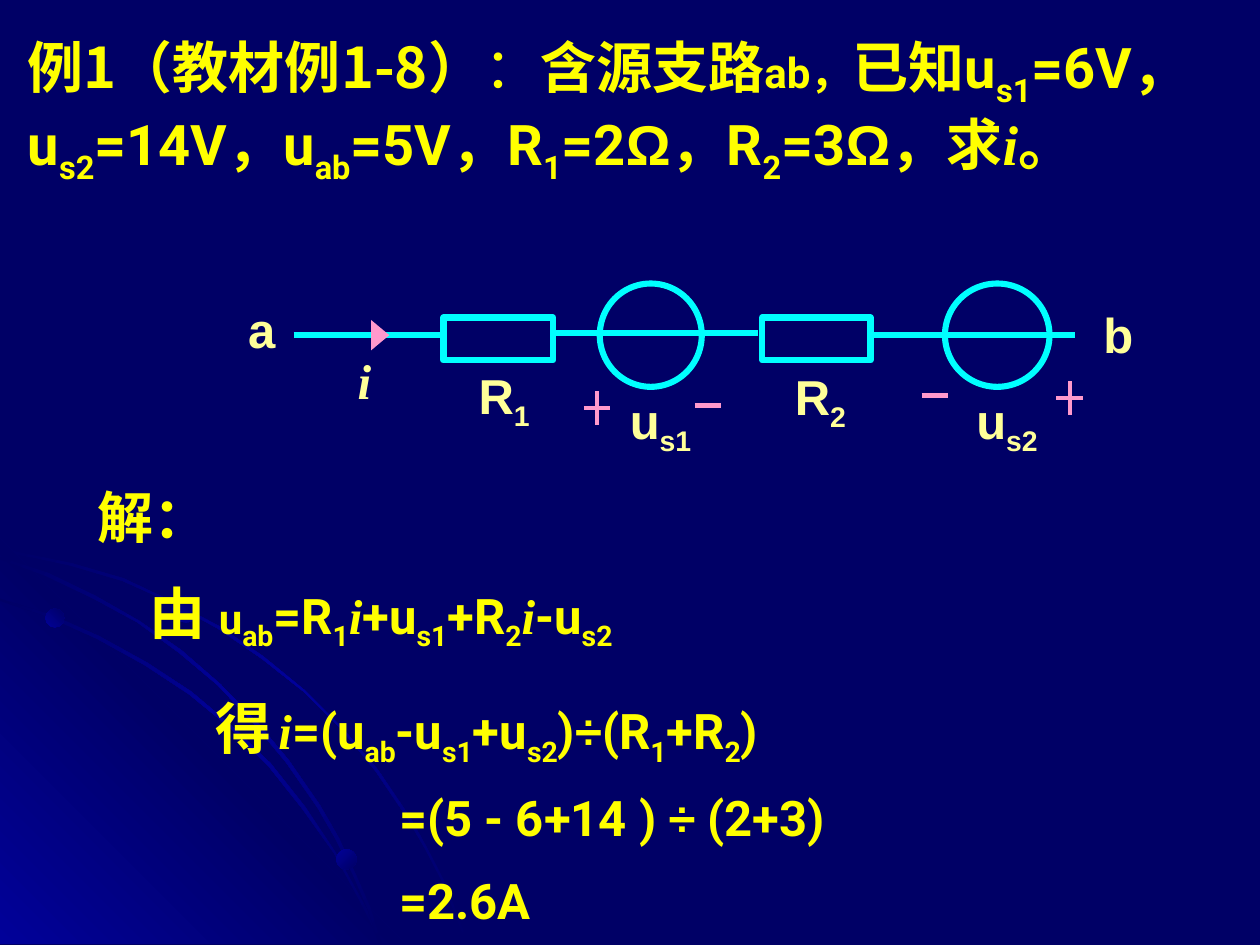
"""Builds the slide that solves an active branch for its current i."""
import copy
import itertools
from dataclasses import dataclass
from typing import NamedTuple, Optional

import pptx
import pptx.dml.color
import pptx.enum.shapes
import pptx.enum.text
import pptx.oxml.ns
import pptx.util
from lxml import etree

NAVY = pptx.dml.color.RGBColor(0x00, 0x00, 0x66)
ROYAL = pptx.dml.color.RGBColor(0x01, 0x01, 0x99)
YELLOW = pptx.dml.color.RGBColor(0xFF, 0xFF, 0x00)
CREAM = pptx.dml.color.RGBColor(0xFF, 0xFF, 0x99)
CYAN = pptx.dml.color.RGBColor(0x00, 0xFF, 0xFF)
PINK = pptx.dml.color.RGBColor(0xFF, 0x99, 0xCC)
CJK = "Noto Sans CJK SC"
COLUMNS, ROWS = 100, 75
RECT = pptx.enum.shapes.MSO_SHAPE.RECTANGLE
OVAL = pptx.enum.shapes.MSO_SHAPE.OVAL
qn = pptx.oxml.ns.qn


class Box(NamedTuple):
    left: float
    top: float
    width: float
    height: float


class Wire(NamedTuple):
    x1: float
    y1: float
    x2: float
    y2: float
    color: pptx.dml.color.RGBColor = CYAN
    weight: float = 3.5
    arrow: bool = False


@dataclass
class Phrase:
    text: str
    size: Optional[float] = None
    face: Optional[str] = None
    bold: Optional[bool] = None


@dataclass
class Line:
    phrases: list
    indent: float = 0
    tab: Optional[float] = None
    before: float = 0
    spacing: float = 1.0
    size: float = 28
    face: str = "Roboto"
    color: pptx.dml.color.RGBColor = YELLOW


STATEMENT = [Line([
    Phrase("例1（教材例1-8）", face=CJK), Phrase("：", face=CJK, bold=False),
    Phrase("含源支路", face=CJK), Phrase("ab，", 24),
    Phrase("已知u|s1|=6V，u|s2|=14V，u|ab|=5V，R|1|=2Ω，R|2|=3Ω，求i。")], size=32)]
EQUATION = [
    Line([Phrase("解：", face=CJK)], spacing=0.9, size=32),
    Line([Phrase("由 ", 32, CJK), Phrase("u", 24), Phrase("|ab|=R|1|i+u|s1|+R|2|i-u|s2|")],
         indent=4.2, before=17.5, spacing=0.9)]
ANSWER = [
    Line([Phrase("得", 32), Phrase("\ti=(u|ab|-u|s1|+u|s2|)÷(R|1|+R|2|)")], tab=8.1, spacing=0.9),
    Line([Phrase("=(5 - 6+14 ) ÷ (2+3)")], indent=14.6, before=17.5, spacing=0.9),
    Line([Phrase("=2.6A")], indent=14.6, before=17.5, spacing=0.9)]

ARCS = [
    [(5.7, 44.7), (2.8, 44.1), (0, 43.5), (0, 43.8), (2.8, 44.3), (5.6, 44.9), (9.7, 46.1),
     (13.5, 47.8), (17.3, 49.9), (20.8, 52.3), (24.1, 54.9), (27.1, 57.9), (29.8, 61.2),
     (32.3, 64.9), (33.7, 67.3), (35, 69.8), (36, 72.3), (37, 74.9), (37.2, 74.9), (36.2, 72.3),
     (35.2, 69.8), (33.9, 67.3), (32.5, 64.8), (30, 61.1), (27.2, 57.8), (24.2, 54.8),
     (20.9, 52.1), (17.4, 49.7), (13.6, 47.7), (9.8, 45.9)],
    [(28.5, 71.4), (29.4, 73.2), (30.1, 74.9), (30.3, 74.9), (29.6, 73), (28.6, 71.2),
     (26.6, 67.6), (24.2, 64), (21.5, 60.6), (18.4, 57.6), (15.2, 54.9), (11.7, 52.6),
     (7.9, 50.5), (4.1, 48.8), (0, 47.5), (0, 47.7), (3.9, 49), (7.7, 50.7), (11.5, 52.8),
     (15, 55.1), (18.3, 57.8), (21.3, 60.8), (24, 64.2), (26.5, 67.7)],
    [(0, 44.2), (0, 44.4), (3.6, 45.7), (7.4, 47.5), (10.9, 49.4), (14.2, 51.8), (17.3, 54.4),
     (20.2, 57.5), (22.7, 60.5), (25.2, 64.1), (26.7, 66.7), (28, 69.4), (29.2, 72.2),
     (30.1, 74.9), (30.3, 74.9), (29.4, 72), (28.2, 69.3), (26.9, 66.5), (25.4, 63.9),
     (22.9, 60.3), (20.4, 57.3), (17.5, 54.3), (14.4, 51.6), (11.1, 49.3), (7.6, 47.3),
     (3.9, 45.5)]]
CORNER = [(32.2, 74.9), (0, 74.9), (0, 42.7)]
BEADS = [(Box(3.6, 48.3, 1.5, 1.5), 45), (Box(26.7, 67.4, 1.6, 1.6), 315),
         (Box(13.7, 47.3, 2.1, 2.1), 45)]

RESISTORS = [Box(35.2, 25.2, 8.7, 3.4), Box(60.5, 25.2, 8.6, 3.4)]
SOURCES = [Box(47.6, 22.5, 8.1, 8.2), Box(75, 22.5, 8.3, 8.2)]
WIRES = [Wire(23.3, 26.6, 35.2, 26.6), Wire(44.1, 26.4, 60.2, 26.4), Wire(69.1, 26.6, 85.3, 26.6),
         Wire(29.8, 26.6, 30.9, 26.6, PINK, arrow=True)]
PLUSES = [(47.4, 32.4), (84.9, 31.6)]
MINUSES = [(56.2, 32.2), (74.2, 31.4)]
LABELS = [("a", Box(18.7, 23.3, 4.1, 5.7)), ("b", Box(86.6, 23.7, 4.4, 5.7)),
          ("i", Box(27.4, 27.3, 3.1, 5.7)), ("R|1|", Box(37, 28.5, 6, 6.3)),
          ("R|2|", Box(62.1, 28.6, 6, 6.3)), ("u|s1|", Box(49, 30.5, 6.9, 6.3)),
          ("u|s2|", Box(76.5, 30.5, 6.9, 6.3))]


def grid(cells: float) -> int:
    """Length of a number of grid cells, each a tenth of an inch square."""
    return pptx.util.Inches(cells / 10)


def symbol_face(char: str) -> Optional[str]:
    """Typeface that a symbol always takes."""
    return {"i": "Times New Roman", "Ω": "Arial", "÷": "Arial"}.get(char)


def add_phrase(paragraph, phrase: Phrase) -> None:
    """Write a phrase whose subscripts stand between bars."""
    for part, text in enumerate(phrase.text.split("|")):
        for face, chars in itertools.groupby(text, symbol_face):
            run = paragraph.add_run()
            run.text = "".join(chars)
            run.font.size = phrase.size and pptx.util.Pt(phrase.size)
            run.font.bold = phrase.bold
            run.font.name = face or phrase.face
            if face == "Times New Roman":
                run.font.italic = True
            if part % 2:
                run._r.get_or_add_rPr().set("baseline", "-25000")


def write(frame, lines: list, wrap: bool = True) -> None:
    """Fill a text frame with formatted lines."""
    frame.word_wrap = wrap
    frame.auto_size = pptx.enum.text.MSO_AUTO_SIZE.NONE
    frame.vertical_anchor = pptx.enum.text.MSO_ANCHOR.TOP
    for number, line in enumerate(lines):
        paragraph = frame.add_paragraph() if number else frame.paragraphs[0]
        properties = paragraph._p.get_or_add_pPr()
        properties.set("marL", str(grid(line.indent)))
        properties.set("indent", "0")
        etree.SubElement(properties, qn("a:buNone"))
        if line.tab:
            stops = etree.SubElement(properties, qn("a:tabLst"))
            etree.SubElement(stops, qn("a:tab"), pos=str(grid(line.tab)), algn="l")
        paragraph.alignment = pptx.enum.text.PP_ALIGN.LEFT
        paragraph.line_spacing = line.spacing
        paragraph.space_before = pptx.util.Pt(line.before)
        font = paragraph.font
        font.size, font.bold, font.name = pptx.util.Pt(line.size), True, line.face
        font.color.rgb = line.color
        etree.SubElement(properties.find(qn("a:defRPr")), qn("a:ea"), typeface=CJK)
        for phrase in line.phrases:
            add_phrase(paragraph, phrase)


def shade(shape, colors: list, angle: float) -> None:
    """Give a borderless shape a gradient of two or three even stops."""
    shape.shadow.inherit = False
    shape.line.fill.background()
    shape.fill.gradient()
    shape.fill.gradient_angle = angle
    stops = shape._element.spPr.find(qn("a:gradFill")).find(qn("a:gsLst"))
    if len(colors) == 3:
        stops.insert(1, copy.deepcopy(stops[0]))
    for number, (stop, color) in enumerate(zip(shape.fill.gradient_stops, colors)):
        stop.color.rgb = color
        stop.position = number / (len(colors) - 1)


def add_polygon(shapes, points: list, colors: list, angle: float) -> None:
    """Draw a shaded closed outline."""
    corners = [(grid(x), grid(y)) for x, y in points]
    builder = shapes.build_freeform(*corners[0])
    builder.add_line_segments(corners[1:], close=True)
    shade(builder.convert_to_shape(), colors, angle)


def add_part(shapes, kind, box: Box) -> None:
    """Draw a circuit part as an outlined shape."""
    part = shapes.add_shape(kind, *map(grid, box))
    part.shadow.inherit = False
    part.fill.solid()
    part.fill.fore_color.rgb = NAVY
    part.line.color.rgb, part.line.width = CYAN, pptx.util.Pt(3.5)


def add_wire(shapes, wire: Wire) -> None:
    """Draw a straight line, with an arrowhead if asked."""
    line = shapes.add_connector(pptx.enum.shapes.MSO_CONNECTOR.STRAIGHT, *map(grid, wire[:4]))
    line.line.color.rgb, line.line.width = wire.color, pptx.util.Pt(wire.weight)
    properties = line._element.spPr
    if wire.arrow:
        etree.SubElement(properties.find(qn("a:ln")), qn("a:tailEnd"),
                         type="triangle", w="lg", len="med")
    etree.SubElement(properties, qn("a:effectLst"))


def main() -> None:
    """Build and save the slide."""
    deck = pptx.Presentation()
    deck.slide_width, deck.slide_height = grid(COLUMNS), grid(ROWS)
    slide = deck.slides.add_slide(deck.slide_layouts[3])
    slide.background.fill.solid()
    slide.background.fill.fore_color.rgb = NAVY
    shapes = slide.shapes
    statement, equation, answer = list(slide.placeholders)

    add_polygon(shapes, ARCS[0], [NAVY, ROYAL, NAVY], 315)
    add_polygon(shapes, CORNER, [ROYAL, NAVY, ROYAL], 45)
    for arc in ARCS[1:]:
        add_polygon(shapes, arc, [NAVY, ROYAL, NAVY], 315)
    for box, angle in BEADS:
        shade(shapes.add_shape(OVAL, *map(grid, box)), [ROYAL, NAVY], angle)

    for holder, box, lines in [(statement, Box(1.2, 2.1, 97.7, 18.5), STATEMENT),
                               (equation, Box(6.7, 38.4, 80.3, 13.5), EQUATION),
                               (answer, Box(16.1, 54.8, 80.3, 19.6), ANSWER)]:
        holder.left, holder.top, holder.width, holder.height = map(grid, box)
        write(holder.text_frame, lines)
        shapes._spTree.append(holder._element)

    for kind, boxes in [(RECT, RESISTORS), (OVAL, SOURCES)]:
        for box in boxes:
            add_part(shapes, kind, box)
    bars = [Wire(x - 1.05, y, x + 1.05, y, PINK, 2.5) for x, y in PLUSES + MINUSES]
    stems = [Wire(x, y - 1.35, x, y + 1.35, PINK, 2.5) for x, y in PLUSES]
    for wire in WIRES + bars + stems:
        add_wire(shapes, wire)
    for text, box in LABELS:
        label = shapes.add_textbox(*map(grid, box))
        write(label.text_frame, [Line([Phrase(text)], face="Arial", color=CREAM)], wrap=False)
    deck.save("out.pptx")


if __name__ == "__main__":
    main()
